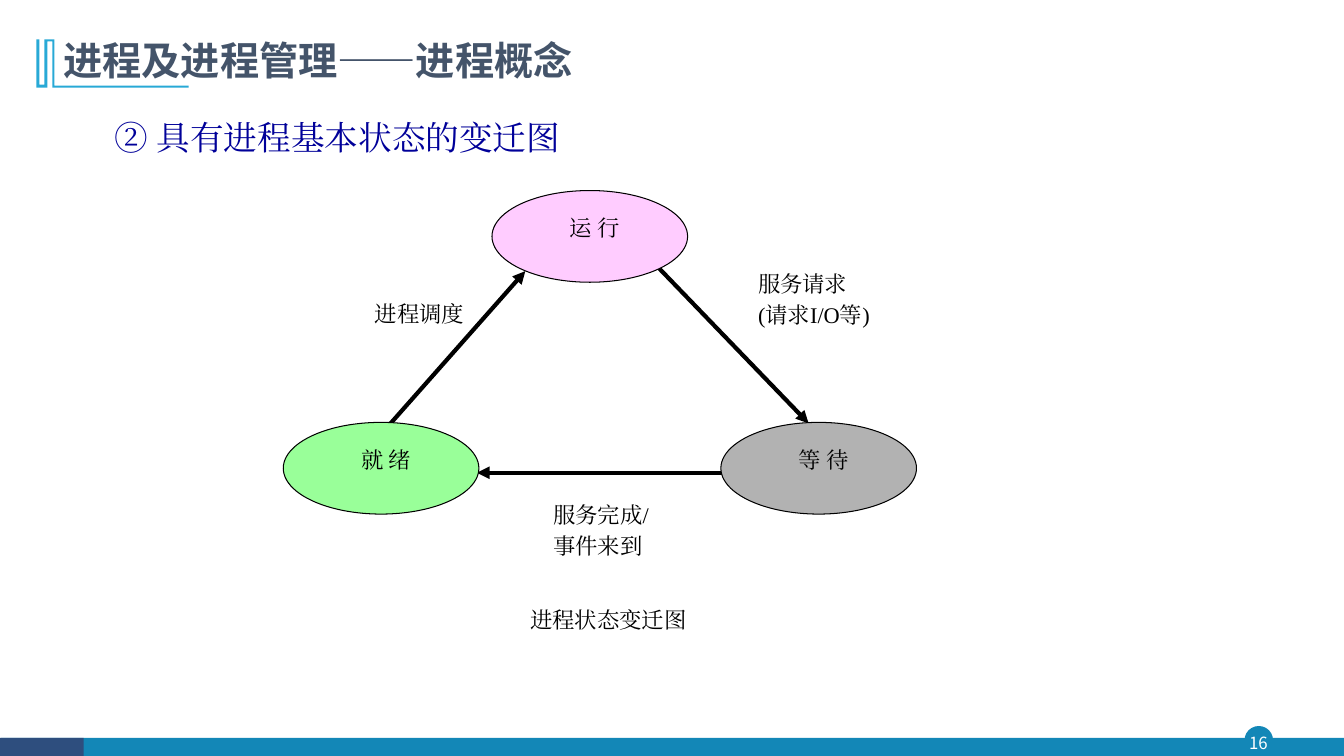
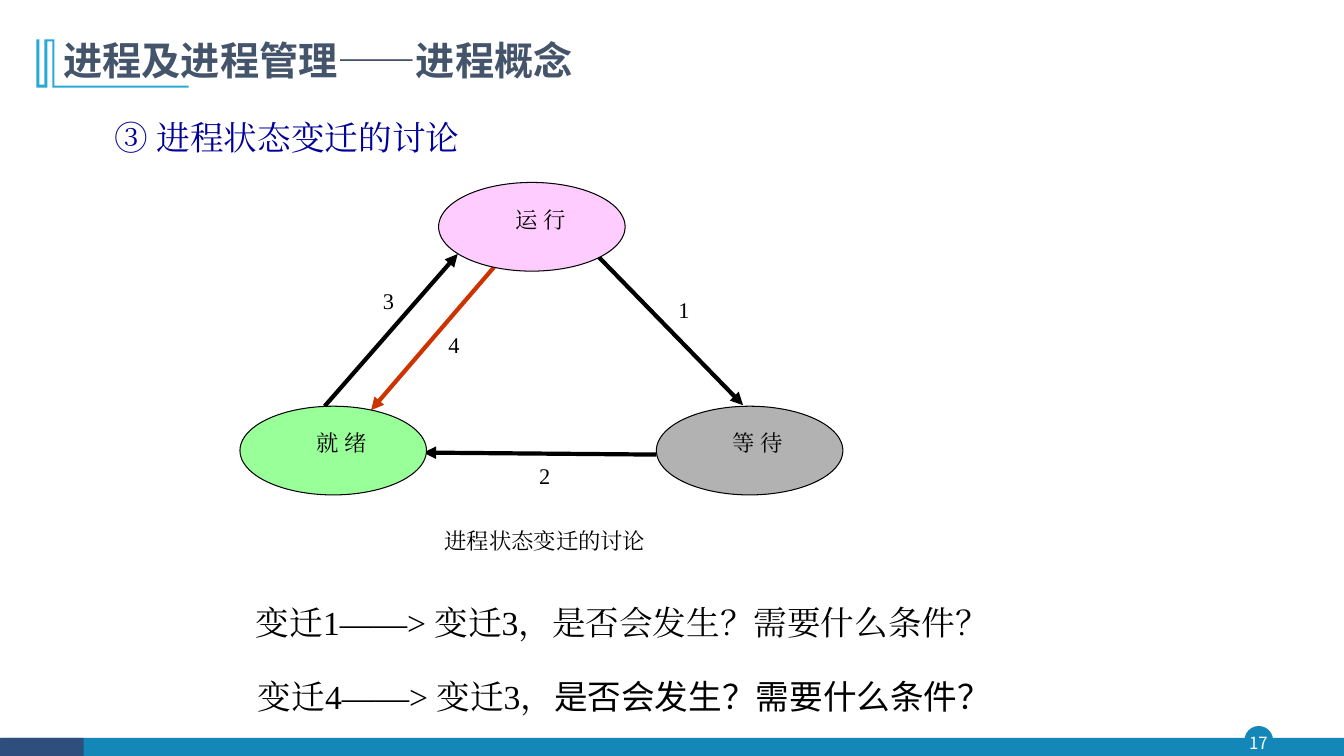
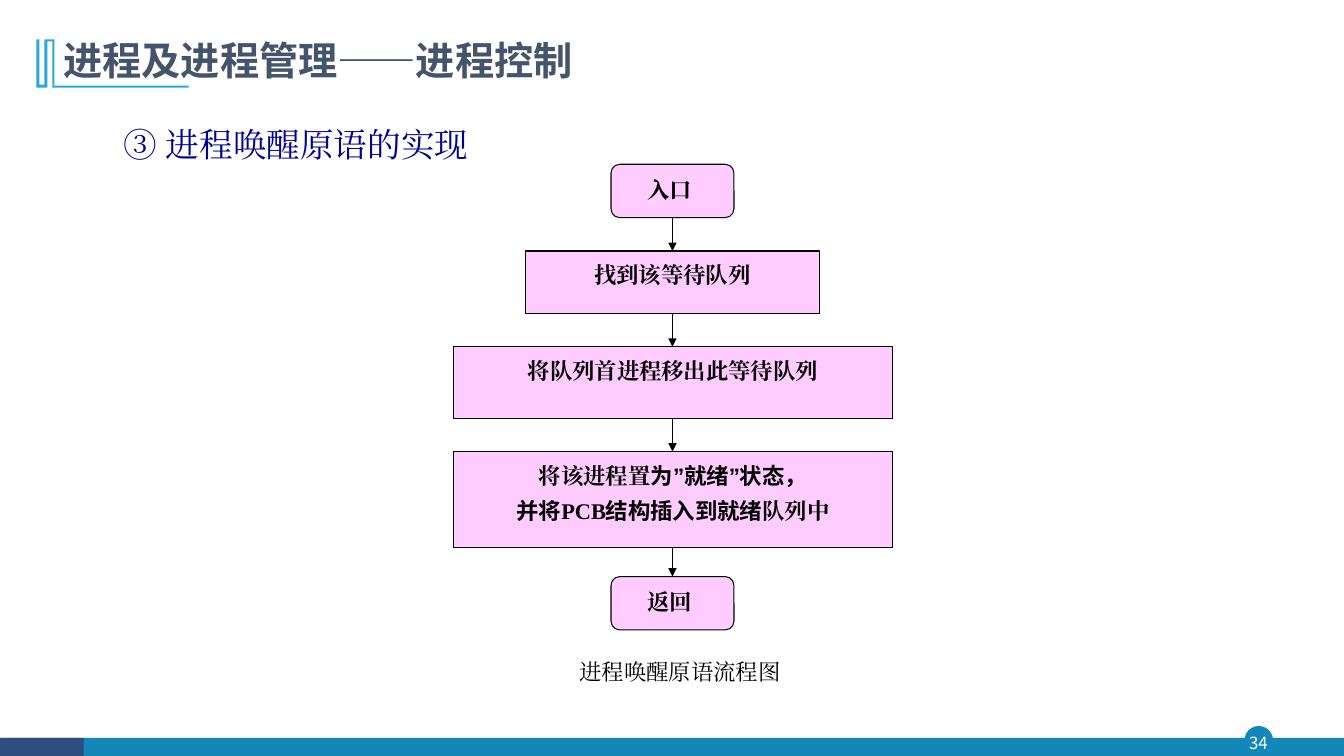
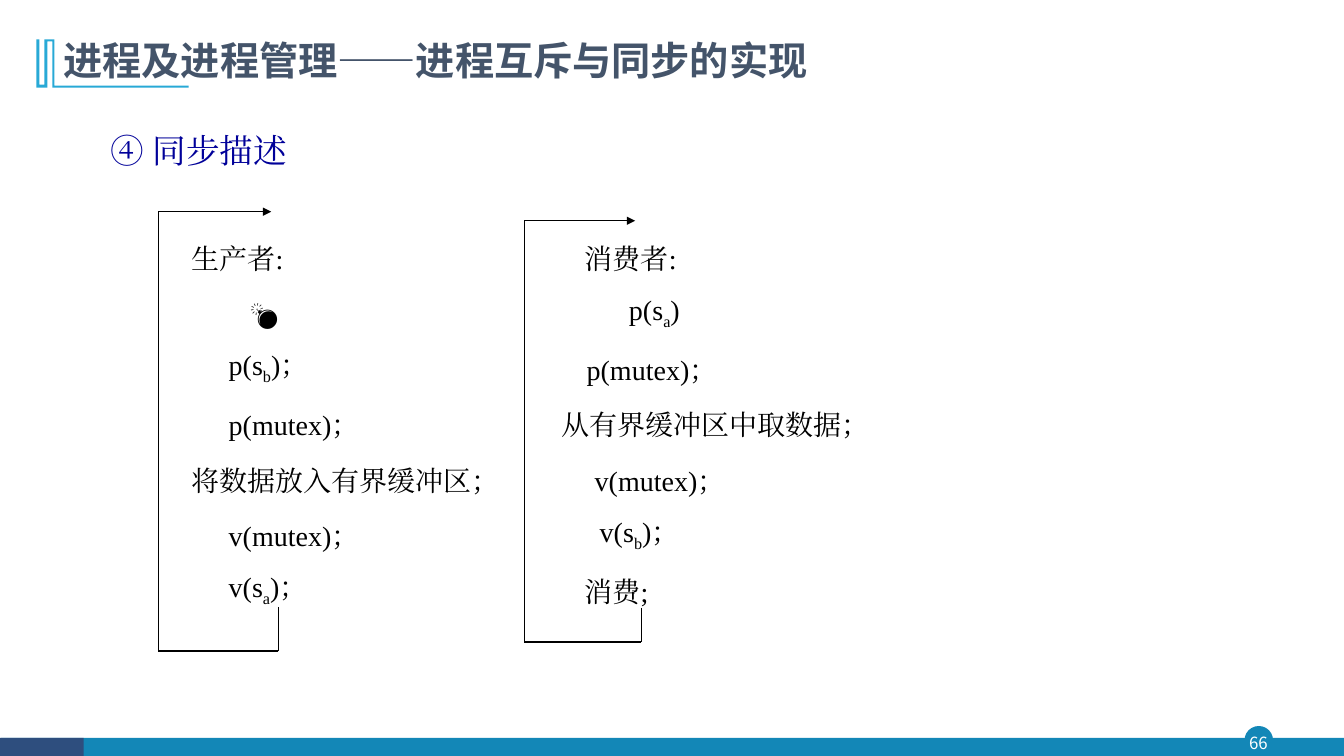
import itertools
from dataclasses import dataclass
from typing import NamedTuple, Optional, Sequence, Union

import pptx
import pptx.dml.color
import pptx.enum.shapes
import pptx.enum.text
import pptx.oxml.ns
import pptx.util
from lxml import etree

# Shared scale, fonts and colours
PX = 9144  # 100 px to the inch
SERIF, SANS, ARIAL = "Times New Roman", "Noto Sans CJK SC", "Arial"
BLACK, WHITE, NAVY, SLATE = "000000", "FFFFFF", "000099", "44546A"
TEAL, DEEP, SKY, RED = "1387B7", "2E4E7E", "28A9D6", "CC3300"
PINK, GREEN, GREY = "FFCCFF", "99FF99", "B2B2B2"

KIND = pptx.enum.shapes.MSO_SHAPE
ALIGN = pptx.enum.text.PP_ALIGN
ANCHOR = pptx.enum.text.MSO_ANCHOR

MARK = [(54, 39), (54, 85), (187, 85), (187, 87), (52, 87), (52, 41),
        (47, 41), (47, 87), (36, 87), (36, 39), (39, 39), (39, 84),
        (44, 84), (44, 39)]


class Box(NamedTuple):
    x: int
    y: int
    w: int
    h: int


class Run(NamedTuple):
    text: str
    font: str = SERIF
    sub: bool = False


Line = Union[str, Sequence[Run]]


@dataclass
class Style:
    size: int = 16
    color: str = BLACK
    font: str = SERIF
    bold: bool = False
    align: Optional[int] = ALIGN.LEFT
    lead: Union[float, int] = 1.0
    gap: int = 0
    indent: int = 0


@dataclass
class Arrow:
    start: tuple[int, int]
    end: tuple[int, int]
    color: str = BLACK
    width: float = 3
    head: bool = True


@dataclass
class State:
    text: str
    x: int
    y: int
    fill: str


@dataclass
class Step:
    lines: list[Line]
    y: int
    w: int
    h: int
    round: bool = False


class Row(NamedTuple):
    indent: int
    line: Line


LABEL = Style(gap=3)
NOTE = Style(lead=1.2)
ASK = Style(size=24)


# Basic helpers
def px(n: float) -> int:
    return int(n * PX)


def rgb(code: str) -> pptx.dml.color.RGBColor:
    return pptx.dml.color.RGBColor.from_string(code)


def child(node, tag: str, **attrs: str) -> None:
    item = etree.SubElement(node, pptx.oxml.ns.qn(tag))
    for key, val in attrs.items():
        item.set(key, val)


def ink(run, style: Style, font: str) -> None:
    run.font.size = pptx.util.Pt(style.size)
    run.font.bold = style.bold
    run.font.color.rgb = rgb(style.color)
    run.font.name = font
    child(run._r.get_or_add_rPr(), "a:ea", typeface=font)


def write(par, line: Line, style: Style) -> None:
    parts = [Run(line, style.font)] if isinstance(line, str) else line
    for part in parts:
        run = par.add_run()
        run.text = part.text
        ink(run, style, part.font)
        if part.sub:
            run._r.get_or_add_rPr().set("baseline", "-25000")
    par.alignment = style.align
    par.line_spacing = style.lead
    if style.indent:
        par._p.get_or_add_pPr().set("marL", str(px(style.indent)))


def fill_text(frame, lines: Sequence[Line], style: Style) -> None:
    frame.word_wrap = True
    for num, line in enumerate(lines):
        par = frame.add_paragraph() if num else frame.paragraphs[0]
        write(par, line, style)
        if num and style.gap:
            par.space_before = pptx.util.Pt(style.gap)


def add_text(slide, box: Box, lines: Sequence[Line], style: Style):
    frame = slide.shapes.add_textbox(*map(px, box)).text_frame
    fill_text(frame, lines, style)
    return frame


def paint(shape, fill: str, edge: Optional[str] = None,
          width: float = 0.75) -> None:
    shape.shadow.inherit = False
    shape.fill.solid()
    shape.fill.fore_color.rgb = rgb(fill)
    if edge:
        shape.line.color.rgb = rgb(edge)
        shape.line.width = pptx.util.Pt(width)
    else:
        shape.line.fill.background()


def add_shape(slide, kind, box: Box, fill: str,
              edge: Optional[str] = None, width: float = 0.75):
    shape = slide.shapes.add_shape(kind, *map(px, box))
    paint(shape, fill, edge, width)
    shape.text_frame.vertical_anchor = ANCHOR.TOP
    return shape


def add_arrow(slide, arrow: Arrow) -> None:
    ends = map(px, (*arrow.start, *arrow.end))
    line = slide.shapes.add_connector(
        pptx.enum.shapes.MSO_CONNECTOR.STRAIGHT, *ends)
    line.line.color.rgb = rgb(arrow.color)
    line.line.width = pptx.util.Pt(arrow.width)
    prop = line.element.spPr
    if arrow.head:
        child(prop.get_or_add_ln(), "a:tailEnd", type="triangle")
    child(prop, "a:effectLst")


# Frame shared by all slides
def add_page(deck, title: str, page: int):
    slide = deck.slides.add_slide(deck.slide_layouts[5])
    add_shape(slide, KIND.OVAL, Box(1235, 721, 27, 27), TEAL, TEAL, 1)
    add_shape(slide, KIND.RECTANGLE, Box(1, 732, 1332, 19), TEAL)
    add_shape(slide, KIND.RECTANGLE, Box(0, 732, 83, 19), DEEP)
    frame = add_text(slide, Box(1232, 721, 32, 31), [str(page)],
                     Style(12, WHITE, SANS, align=ALIGN.CENTER))
    frame.vertical_anchor = ANCHOR.MIDDLE
    frame.margin_left = frame.margin_right = 0
    frame.margin_top = frame.margin_bottom = 0

    form = slide.shapes.build_freeform(*MARK[0], scale=PX)
    form.add_line_segments(MARK[1:], close=True)
    paint(form.convert_to_shape(), SKY)

    head = slide.shapes.title
    head.left, head.top, head.width, head.height = map(
        px, Box(53, 34, 1049, 56))
    head.text_frame.vertical_anchor = ANCHOR.MIDDLE
    fill_text(head.text_frame, ["进程及进程管理——" + title],
              Style(28, SLATE, SANS, True, lead=0.9))
    return slide


def add_head(slide, x: int, y: int, text: str, lead: float) -> None:
    add_text(slide, Box(x, y, 750, 60), [text],
             Style(24, NAVY, lead=lead))


# State diagram
def add_states(slide, w: int, h: int, states: list[State],
               arrows: list[Arrow]) -> None:
    for arrow in arrows:
        add_arrow(slide, arrow)
    for state in states:
        oval = add_shape(slide, KIND.OVAL, Box(state.x, state.y, w, h),
                         state.fill, BLACK)
        fill_text(oval.text_frame, [state.text],
                  Style(lead=1.2, indent=39))


def page_states(deck) -> None:
    slide = add_page(deck, "进程概念", 16)
    add_head(slide, 104, 91, "② 具有进程基本状态的变迁图", 1.5)
    add_states(slide, 194, 91, [
        State("运 行", 488, 189, PINK),
        State("等 待", 715, 419, GREY),
        State("就 绪", 281, 419, GREEN),
    ], [
        Arrow((640, 252), (802, 420)),
        Arrow((726, 469), (473, 469)),
        Arrow((383, 425), (521, 269)),
    ])
    for box, lines in [
        (Box(742, 263, 137, 69), ["服务请求", "(请求I/O等)"]),
        (Box(539, 492, 134, 69), ["服务完成/", "事件来到"]),
        (Box(362, 293, 120, 37), ["进程调度"]),
    ]:
        add_text(slide, box, lines, LABEL)
    add_text(slide, Box(516, 591, 216, 42), ["进程状态变迁图"], NOTE)


def page_talk(deck) -> None:
    slide = add_page(deck, "进程概念", 17)
    add_head(slide, 104, 91, "③ 进程状态变迁的讨论", 1.5)
    add_states(slide, 185, 88, [
        State("运 行", 435, 181, PINK),
        State("等 待", 651, 403, GREY),
        State("就 绪", 238, 403, GREEN),
    ], [
        Arrow((490, 265), (368, 407), RED),
        Arrow((589, 250), (737, 402)),
        Arrow((651, 451), (420, 449)),
        Arrow((322, 403), (454, 252)),
    ])
    spots = [(663, 289), (525, 454), (370, 280), (435, 324)]
    for num, (x, y) in enumerate(spots, 1):
        add_text(slide, Box(x, y, 50, 37), [str(num)], LABEL)
    add_text(slide, Box(431, 513, 240, 42), ["进程状态变迁的讨论"], NOTE)
    ask = "是否会发生？需要什么条件？"
    add_text(slide, Box(244, 592, 793, 50),
             ["变迁1——> 变迁3，" + ask], ASK)
    add_text(slide, Box(246, 666, 788, 50),
             [[Run("变迁4——> 变迁3，"), Run(ask, ARIAL)]], ASK)


# Flow chart
def page_flow(deck) -> None:
    slide = add_page(deck, "进程控制", 34)
    add_head(slide, 113, 110, "③ 进程唤醒原语的实现", 1.2)
    mid = 667
    steps = [
        Step(["入口"], 163, 122, 53, True),
        Step(["找到该等待队列"], 249, 292, 62),
        Step(["将队列首进程移出此等待队列"], 344, 435, 71),
        Step([
            [Run("将该进程置"), Run("为”就绪”状态，", ARIAL)],
            [Run("并将", ARIAL), Run("PCB"),
             Run("结构插入到就绪", ARIAL), Run("队列中")],
        ], 448, 435, 95),
        Step(["返回"], 572, 122, 53, True),
    ]
    for step in steps:
        kind = KIND.ROUNDED_RECTANGLE if step.round else KIND.RECTANGLE
        box = Box(mid - step.w // 2, step.y, step.w, step.h)
        shape = add_shape(slide, kind, box, PINK, BLACK)
        if step.round:
            shape.text_frame.margin_top = px(9)
            shape.text_frame.margin_right = px(16)
        fill_text(shape.text_frame, step.lines, Style(
            bold=True, align=ALIGN.CENTER, gap=2,
            lead=1.0 if step.round else 1.2))
    for top, low in itertools.pairwise(steps):
        add_arrow(slide, Arrow((mid, top.y + top.h), (mid, low.y),
                               width=0.75))
    add_text(slide, Box(565, 643, 226, 42), ["进程唤醒原语流程图"], NOTE)


# Code columns with loop lines
def add_code(slide, x: int, rows: list[Row]) -> None:
    frame = add_text(slide, Box(x, 213, 330, 395), [], Style())
    for num, row in enumerate(rows):
        par = frame.add_paragraph() if num else frame.paragraphs[0]
        write(par, row.line, Style(20, lead=pptx.util.Pt(39.6),
                                   indent=row.indent))


def add_loop(slide, points: list[tuple[int, int]]) -> None:
    for start, end in itertools.pairwise(points):
        add_arrow(slide, Arrow(start, end, width=1,
                               head=end == points[-1]))


def call(name: str, sub: str, end: str = ")；") -> list[Run]:
    return [Run(name + "(s"), Run(sub, sub=True), Run(end)]


def page_code(deck) -> None:
    slide = add_page(deck, "进程互斥与同步的实现", 66)
    add_head(slide, 100, 112, "④ 同步描述", 1.3)
    add_code(slide, 180, [
        Row(0, "生产者:"),
        Row(58, "💣"),
        Row(37, call("p", "b")),
        Row(37, "p(mutex)；"),
        Row(0, "将数据放入有界缓冲区；"),
        Row(37, "v(mutex)；"),
        Row(37, call("v", "a")),
    ])
    add_code(slide, 547, [
        Row(23, "消费者:"),
        Row(67, call("p", "a", ")")),
        Row(25, "p(mutex)；"),
        Row(0, "从有界缓冲区中取数据；"),
        Row(33, "v(mutex)；"),
        Row(38, call("v", "b")),
        Row(23, "消费;"),
    ])
    add_loop(slide, [(276, 602), (276, 646), (157, 646),
                     (157, 210), (269, 210)])
    add_loop(slide, [(636, 603), (636, 637), (520, 637),
                     (520, 219), (630, 219)])


def main() -> None:
    deck = pptx.Presentation()
    deck.slide_width, deck.slide_height = px(1333), px(750)
    for page in (page_states, page_talk, page_flow, page_code):
        page(deck)
    deck.save("out.pptx")


if __name__ == "__main__":
    main()
